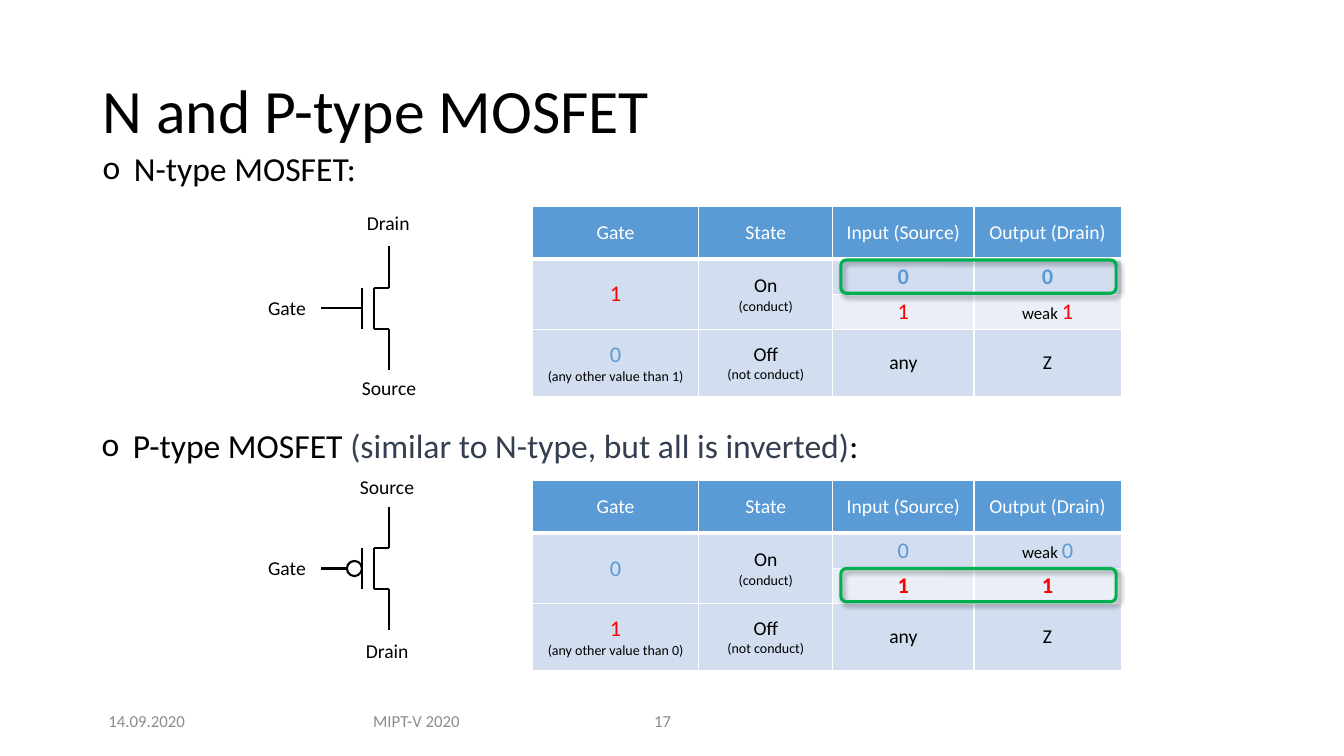
from lxml.etree import SubElement
from pptx import Presentation
from pptx.dml.color import RGBColor
from pptx.enum.shapes import MSO_CONNECTOR, MSO_SHAPE
from pptx.enum.text import MSO_ANCHOR, MSO_AUTO_SIZE, PP_ALIGN
from pptx.oxml.ns import qn
from pptx.util import Inches, Pt

BLACK, WHITE, GREY, NAVY = "000000", "FFFFFF", "8C8C8C", "333F50"
BLUE, RED, GREEN = "5B9BD5", "FF0000", "00B050"
BAND, LIGHT_BAND = "D2DEEF", "EAEFF7"


def rgb(value):
    return RGBColor.from_string(value)


def set_attrs(target, values):
    for name, value in values.items():
        setattr(target, name, value)


def run(text, size=14, color=BLACK, bold=False):
    return text, size, color, bold


def bit(value, bold=False):
    return run(value, 16, RED if value == "1" else BLUE, bold)


class SlideBuilder:
    font = "Calibri"
    line_width = 1.5
    col_widths = (1.65, 1.33, 1.4, 1.46)
    row_heights = (0.52, 0.35, 0.35, 0.66)

    def __init__(self, prs):
        self.s = prs.slides.add_slide(prs.slide_layouts[6])

    def fill_text(self, tf, paragraphs, **fmt):
        for i, runs in enumerate(paragraphs):
            p = tf.paragraphs[0] if i == 0 else tf.add_paragraph()
            set_attrs(p, fmt)
            for text, size, color, bold in runs:
                r = p.add_run()
                r.text = text
                set_attrs(r.font, {"name": self.font, "size": Pt(size), "bold": bold})
                r.font.color.rgb = rgb(color)

    def text(self, box, runs, shapes=None, frame=None, **fmt):
        sp = (shapes or self.s.shapes).add_textbox(*map(Inches, box))
        tf = sp.text_frame
        set_attrs(tf, {"word_wrap": True, "vertical_anchor": MSO_ANCHOR.MIDDLE} | (frame or {}))
        self.fill_text(tf, [runs], **fmt)
        return tf.paragraphs[0]

    def label(self, box, runs, shapes=None):
        frame = {"word_wrap": False, "vertical_anchor": MSO_ANCHOR.TOP,
                 "auto_size": MSO_AUTO_SIZE.SHAPE_TO_FIT_TEXT}
        return self.text(box, runs, shapes, frame)

    def bullet(self, box, runs):
        pPr = self.label(box, runs)._p.get_or_add_pPr()
        indent = Inches(0.31)
        pPr.set("marL", str(indent))
        pPr.set("indent", str(-indent))
        SubElement(pPr, qn("a:buFont"), typeface=self.font)
        SubElement(pPr, qn("a:buChar"), char="o")

    def line(self, shapes, x1, y1, x2, y2):
        cxn = shapes.add_connector(MSO_CONNECTOR.STRAIGHT, *map(Inches, (x1, y1, x2, y2)))
        cxn.line.color.rgb = rgb(BLACK)
        cxn.line.width = Pt(self.line_width)
        SubElement(cxn._element.spPr, qn("a:effectLst"))

    def shape(self, kind, box, line, width, fill=None, shapes=None):
        sp = (shapes or self.s.shapes).add_shape(kind, *map(Inches, box))
        sp.shadow.inherit = False
        sp.line.color.rgb = rgb(line)
        sp.line.width = Pt(width)
        if fill:
            sp.fill.solid()
            sp.fill.fore_color.rgb = rgb(fill)
        else:
            sp.fill.background()
        return sp

    def highlight(self, top):
        sp = self.shape(MSO_SHAPE.ROUNDED_RECTANGLE, (8.34, top, 2.73, 0.33), GREEN, 2.25)
        effects = sp._element.spPr.find(qn("a:effectLst"))
        shadow = SubElement(effects, qn("a:outerShdw"), blurRad=str(Pt(4)), dist=str(Pt(3)),
                            dir=str(45 * 60000), algn="tl", rotWithShape="0")
        color = SubElement(shadow, qn("a:srgbClr"), val=BLACK)
        SubElement(color, qn("a:alpha"), val="40000")

    def mosfet(self, middle, top_label, bottom_label, inverted=False):
        shapes = self.s.shapes.add_group_shape().shapes
        half, arm = 0.205, 0.41
        gate, body, pin = 3.59, 3.71, 3.86
        for x in (gate, body):
            self.line(shapes, x, middle - half, x, middle + half)
        for sign in (-1, 1):
            y = middle + sign * half
            self.line(shapes, body, y, pin, y)
            self.line(shapes, pin, y, pin, y + sign * arm)
        self.line(shapes, gate, middle, 3.18, middle)
        if inverted:
            d = 0.15
            self.shape(MSO_SHAPE.OVAL, (gate - d, middle - d / 2, d, d), BLACK,
                       self.line_width, WHITE, shapes)
        self.label((2.56, middle - 0.17, 0.59, 0.34), [run("Gate")], shapes)
        for text, x, y, w in (top_label, bottom_label):
            self.label((x, y, w, 0.34), [run(text)], shapes)

    def borders(self, cell, row):
        tcPr = cell._tc.get_or_add_tcPr()
        heavy = {0: "B", 1: "T"}.get(row)
        for side in "LRTB":
            width = Pt(3 if side == heavy else 1)
            ln = SubElement(tcPr, qn("a:ln" + side), w=str(width))
            SubElement(SubElement(ln, qn("a:solidFill")), qn("a:srgbClr"), val=WHITE)

    def table(self, top, rows):
        size = sum(self.col_widths), sum(self.row_heights)
        table = self.s.shapes.add_table(4, 4, *map(Inches, (5.28, top, *size))).table
        for col, width in zip(table.columns, self.col_widths):
            col.width = Inches(width)
        for row, height in zip(table.rows, self.row_heights):
            row.height = Inches(height)
        for col in (0, 1):
            table.cell(1, col).merge(table.cell(2, col))
        margins = {"margin_left": Inches(0.09), "margin_right": Inches(0.09),
                   "margin_top": Inches(0.04), "margin_bottom": Inches(0.04),
                   "vertical_anchor": MSO_ANCHOR.MIDDLE}
        fills = (BLUE, BAND, LIGHT_BAND, BAND)
        for i, row in enumerate(rows):
            for j, paragraphs in enumerate(row):
                cell = table.cell(i, j)
                set_attrs(cell, margins)
                self.borders(cell, i)
                cell.fill.solid()
                cell.fill.fore_color.rgb = rgb(fills[i])
                self.fill_text(cell.text_frame, paragraphs, alignment=PP_ALIGN.CENTER)

    def truth_table(self, top, on, off, zero_output, one_output):
        header = [[[run(text, color=WHITE)]]
                  for text in ("Gate", "State", "Input (Source)", "Output (Drain)")]
        strong_zero, strong_one = len(zero_output) == 1, len(one_output) == 1
        self.table(top, [
            header,
            [[[bit(on)]], [[run("On")], [run("(conduct)", 10)]],
             [[bit("0", strong_zero)]], [zero_output]],
            [[], [], [[bit("1", strong_one)]], [one_output]],
            [[[bit(off)], [run(f"(any other value than {on})", 10)]],
             [[run("Off")], [run("(not conduct)", 10)]], [[run("any")]], [[run("Z")]]],
        ])


def main():
    prs = Presentation()
    set_attrs(prs, {"slide_width": Inches(13.33), "slide_height": Inches(7.5)})
    b = SlideBuilder(prs)
    weak = run("weak ", 12)

    b.text((0.92, 0.4, 11.5, 1.45), [run("N and P-type MOSFET", 44)], line_spacing=0.9)

    b.bullet((0.92, 1.42, 2.71, 0.5), [run("N-type MOSFET:", 24)])
    b.mosfet(3.06, ("Drain", 3.54, 2.04, 0.63), ("Source", 3.49, 3.68, 0.77))
    b.truth_table(2.05, "1", "0", [bit("0", True)], [weak, bit("1")])
    b.highlight(2.58)

    b.bullet((0.91, 4.17, 7.79, 0.5), [
        run("P-type MOSFET ", 24),
        run("(similar to N-type, but all is inverted)", 24, NAVY),
        run(":", 24),
    ])
    b.mosfet(5.64, ("Source", 3.47, 4.66, 0.77), ("Drain", 3.53, 6.29, 0.63), inverted=True)
    b.truth_table(4.77, "0", "1", [weak, bit("0")], [bit("1", True)])
    b.highlight(5.64)

    for text, x, w, align in (("14.09.2020", 0.92, 1.07, PP_ALIGN.CENTER),
                              ("MIPT-V 2020", 3.34, 1.58, PP_ALIGN.CENTER),
                              ("17", 6.39, 0.79, PP_ALIGN.LEFT)):
        b.text((x, 6.95, w, 0.4), [run(text, 12, GREY)], alignment=align)

    prs.save("out.pptx")


if __name__ == "__main__":
    main()
